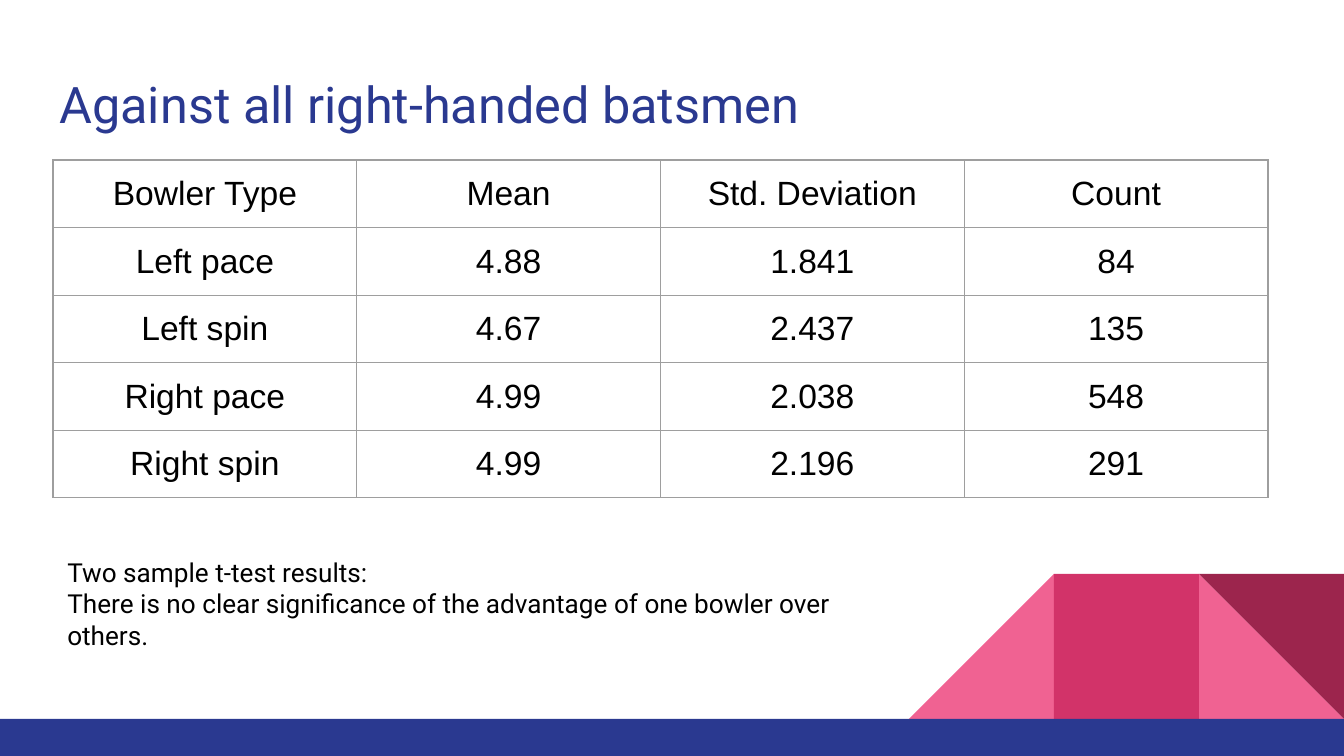
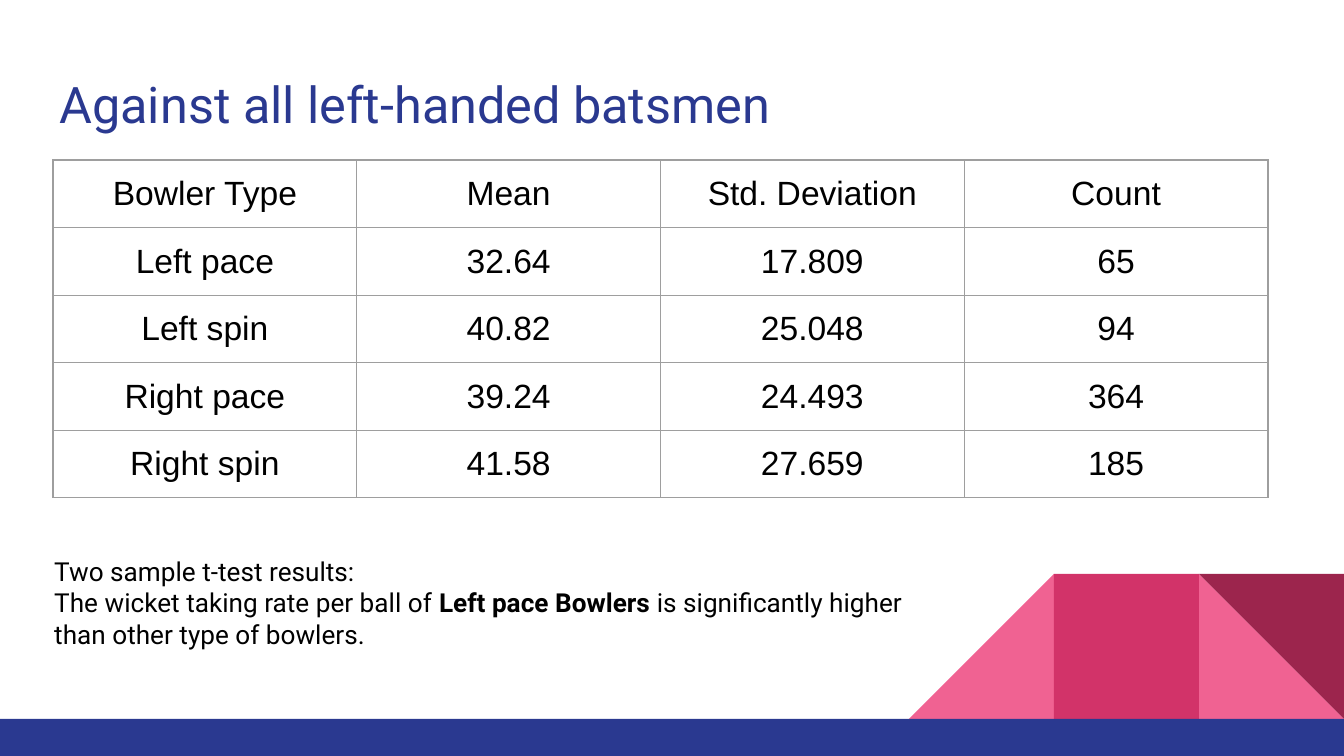
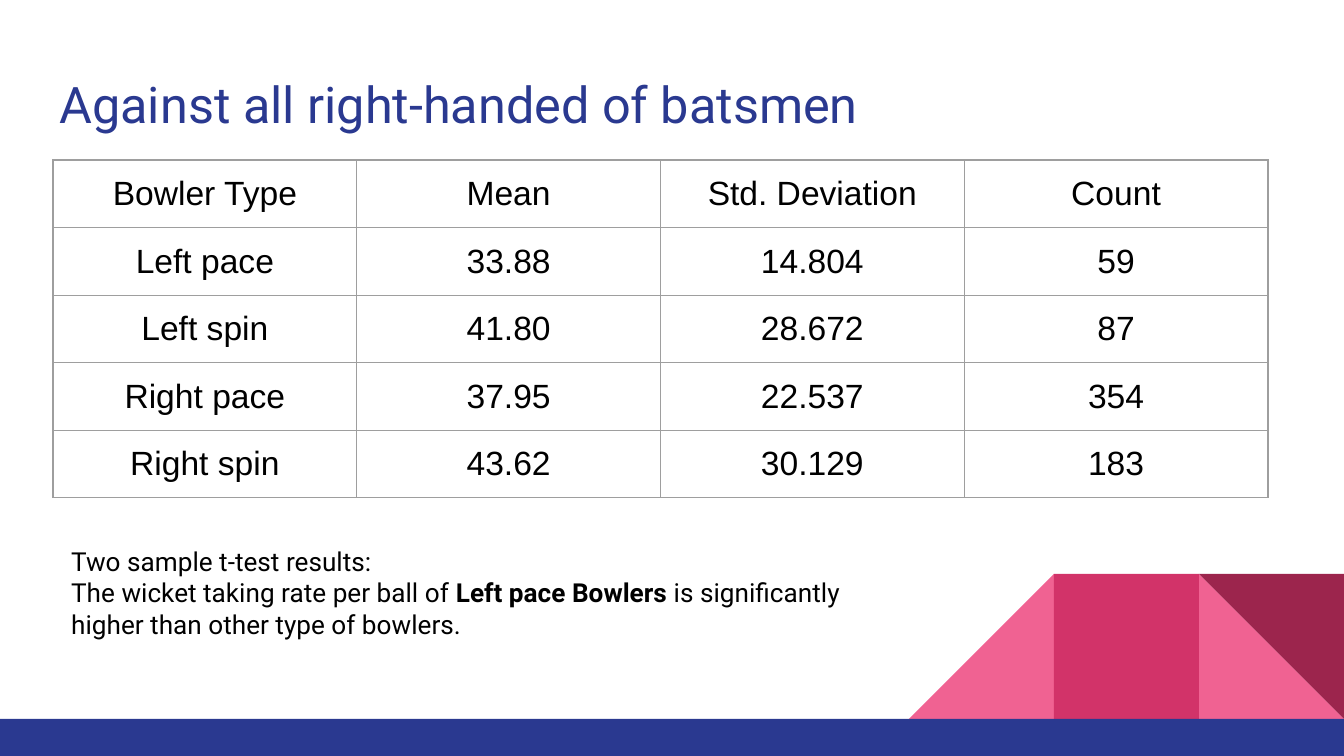
from lxml import etree
from pptx import Presentation
from pptx.dml.color import RGBColor
from pptx.enum.shapes import MSO_SHAPE, PP_PLACEHOLDER
from pptx.enum.text import MSO_ANCHOR, MSO_AUTO_SIZE, PP_ALIGN
from pptx.oxml.ns import qn
from pptx.util import Emu, Inches, Pt

RECT, TRIANGLE = MSO_SHAPE.RECTANGLE, MSO_SHAPE.RIGHT_TRIANGLE
TITLE = PP_PLACEHOLDER.TITLE
TOP, MIDDLE = MSO_ANCHOR.TOP, MSO_ANCHOR.MIDDLE
LEFT, CENTER = PP_ALIGN.LEFT, PP_ALIGN.CENTER
NO_FIT, GROW = MSO_AUTO_SIZE.NONE, MSO_AUTO_SIZE.SHAPE_TO_FIT_TEXT

NAVY = RGBColor(0x2A, 0x39, 0x90)
PINK = RGBColor(0xF0, 0x62, 0x92)
ROSE = RGBColor(0xD2, 0x33, 0x69)
WINE = RGBColor(0x9C, 0x25, 0x4D)
GREY = RGBColor(0x9E, 0x9E, 0x9E)
BLACK = RGBColor(0, 0, 0)

HEADING_FONT, TABLE_FONT = "Roboto", "Arial"
WIDTH, HEIGHT = 1344, 756
BAND_HEIGHT, TILE = 37, 145
INSET = Inches(0.1)
TITLE_BOX = (46, 60, 1252, 89)
TABLE_BOX = (53, 160, 1215, 338)

HEADER = ("Bowler Type", "Mean", "Std. Deviation", "Count")
BOWLERS = ("Left pace", "Left spin", "Right pace", "Right spin")
NO_ADVANTAGE = [("There is no clear significance of the advantage of one "
                 "bowler over others.", False)]
LEFT_PACE_BEST = [("The wicket taking rate per ball of ", False),
                  ("Left pace Bowlers ", True),
                  ("is significantly higher than other type of bowlers.", False)]

# title, figures for each bowler type, finding, box of the finding
SLIDES = [
    ("Against all right-handed batsmen",
     [("4.88", "1.841", "84"), ("4.67", "2.437", "135"),
      ("4.99", "2.038", "548"), ("4.99", "2.196", "291")],
     NO_ADVANTAGE, (54, 543, 851, 122)),
    ("Against all left-handed batsmen",
     [("32.64", "17.809", "65"), ("40.82", "25.048", "94"),
      ("39.24", "24.493", "364"), ("41.58", "27.659", "185")],
     LEFT_PACE_BEST, (41, 542, 884, 122)),
    ("Against all right-handed of batsmen",
     [("33.88", "14.804", "59"), ("41.80", "28.672", "87"),
      ("37.95", "22.537", "354"), ("43.62", "30.129", "183")],
     LEFT_PACE_BEST, (58, 532, 868, 122)),
]


def px(n):
    """Turn picture pixels into EMU."""
    return Emu(round(n * 914400 / 134.4))


def style_run(r, font, size, color, bold=False):
    """Set the font of one run."""
    r.font.name, r.font.size, r.font.bold = font, Pt(size), bold
    r.font.color.rgb = color


def set_frame(tf, fit):
    """Give a text frame even insets, wrapping and top anchoring."""
    tf.margin_left = tf.margin_right = tf.margin_top = tf.margin_bottom = INSET
    tf.word_wrap, tf.auto_size, tf.vertical_anchor = True, fit, TOP


def add_block(shapes, kind, box, color):
    """Add a plain filled shape."""
    sp = shapes.add_shape(kind, *map(px, box))
    sp.shadow.inherit = False
    sp.fill.solid()
    sp.fill.fore_color.rgb = color
    sp.line.fill.background()
    return sp


def build_layout(layout, s):
    """Draw the corner tiles and bottom band, and move them to the layout."""
    for ph in list(layout.placeholders):
        if ph.placeholder_format.type != TITLE:
            ph.element.getparent().remove(ph.element)
    group = s.shapes.add_group_shape()
    floor = HEIGHT - BAND_HEIGHT

    def tile(kind, from_right, color):
        box = (WIDTH - from_right * TILE, floor - TILE, TILE, TILE)
        return add_block(group.shapes, kind, box, color)

    tile(TRIANGLE, 1, PINK)
    slope = tile(TRIANGLE, 3, PINK)
    slope.element.spPr.find(qn("a:xfrm")).set("flipH", "1")
    tile(RECT, 2, ROSE)
    tile(TRIANGLE, 1, WINE).rotation = 180
    add_block(group.shapes, RECT, (0, floor, WIDTH, BAND_HEIGHT), NAVY)
    layout.shapes.element.insert(2, group.element)


def set_title(s, text, box):
    """Place and format the slide title."""
    sp = s.shapes.title
    sp.left, sp.top, sp.width, sp.height = map(px, box)
    tf = sp.text_frame
    tf.text = text
    set_frame(tf, NO_FIT)
    p = tf.paragraphs[0]
    p.alignment = LEFT
    style_run(p.runs[0], HEADING_FONT, 27, NAVY)


def add_borders(cell):
    """Draw thin grey lines on all four sides of a cell."""
    tc_pr = cell._tc.get_or_add_tcPr()
    for side in ("a:lnL", "a:lnR", "a:lnT", "a:lnB"):
        ln = etree.SubElement(tc_pr, qn(side), w=str(Pt(0.75)))
        fill = etree.SubElement(ln, qn("a:solidFill"))
        etree.SubElement(fill, qn("a:srgbClr"), val=str(GREY))


def add_stats_table(s, figures, box):
    """Add the grid of figures by bowler type."""
    rows = [HEADER] + [(name, *row) for name, row in zip(BOWLERS, figures)]
    table = s.shapes.add_table(len(rows), len(HEADER), *map(px, box)).table
    table.first_row = table.horz_banding = False
    for i, row in enumerate(rows):
        for j, text in enumerate(row):
            cell = table.cell(i, j)
            cell.text = text
            cell.vertical_anchor = MIDDLE
            cell.margin_left = cell.margin_right = INSET
            cell.margin_top = cell.margin_bottom = INSET
            add_borders(cell)
            cell.fill.background()
            p = cell.text_frame.paragraphs[0]
            p.alignment = CENTER
            style_run(p.runs[0], TABLE_FONT, 18, BLACK)


def add_finding(s, finding, box):
    """Add the t-test result below the table."""
    tf = s.shapes.add_textbox(*map(px, box)).text_frame
    set_frame(tf, GROW)
    lines = [[("Two sample t-test results:", False)], finding]
    for i, line in enumerate(lines):
        p = tf.add_paragraph() if i else tf.paragraphs[0]
        for text, bold in line:
            r = p.add_run()
            r.text = text
            style_run(r, HEADING_FONT, 14, BLACK, bold)


def main():
    """Build the three slides."""
    prs = Presentation()
    prs.slide_width, prs.slide_height = px(WIDTH), px(HEIGHT)
    layout = prs.slide_layouts.get_by_name("Title Only")
    for i, (title, figures, finding, finding_box) in enumerate(SLIDES):
        s = prs.slides.add_slide(layout)
        if i == 0:
            build_layout(layout, s)
        set_title(s, title, TITLE_BOX)
        add_stats_table(s, figures, TABLE_BOX)
        add_finding(s, finding, finding_box)
    prs.save("out.pptx")


main()
